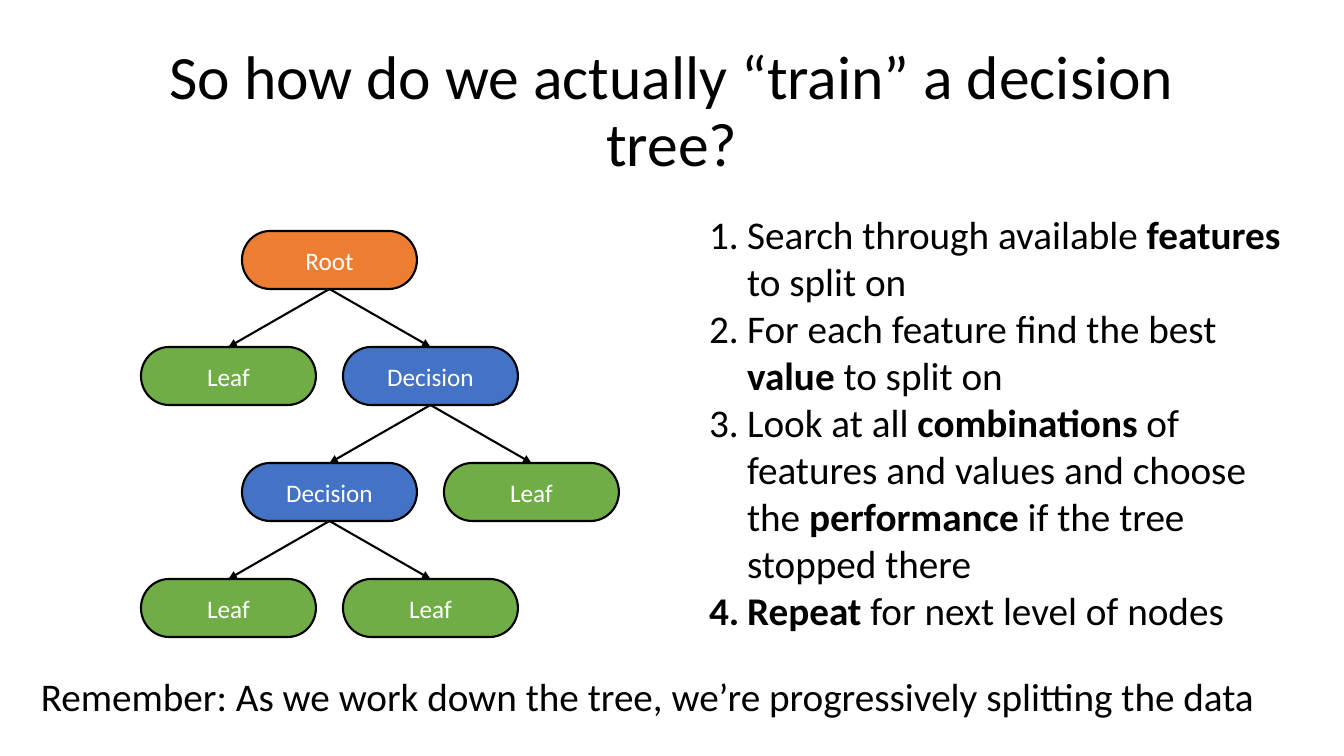
from dataclasses import dataclass

from lxml import etree
from pptx import Presentation
from pptx.dml.color import RGBColor
from pptx.enum.shapes import MSO_CONNECTOR, MSO_SHAPE
from pptx.enum.text import MSO_ANCHOR, MSO_AUTO_SIZE, PP_ALIGN
from pptx.oxml.ns import qn
from pptx.util import Emu, Pt

STRAIGHT = MSO_CONNECTOR.STRAIGHT
TERMINATOR = MSO_SHAPE.FLOWCHART_TERMINATOR
MIDDLE, TOP = MSO_ANCHOR.MIDDLE, MSO_ANCHOR.TOP
NO_FIT = MSO_AUTO_SIZE.NONE
CENTER, LEFT = PP_ALIGN.CENTER, PP_ALIGN.LEFT
TOP_SITE, BOTTOM_SITE = 0, 2
EMU_PER_PX = 914400 / 100.8


@dataclass(frozen=True)
class Theme:
    """Fonts, colours and type sizes of the slide."""
    font: str = "Calibri"
    ink: str = "000000"
    paper: str = "FFFFFF"
    root: str = "ED7D31"
    decision: str = "4472C4"
    leaf: str = "70AD47"
    title_pt: int = 44
    body_pt: int = 28
    node_pt: int = 18
    line_pt: float = 1.5


THEME = Theme()
FILLS = {"Root": THEME.root, "Decision": THEME.decision, "Leaf": THEME.leaf}

NODE_X, NODE_Y, NODE_W, NODE_H = 141, 231, 175, 58
COL_STEP, ROW_STEP = 101, 116
NODES = [("Root", 1, 0), ("Leaf", 0, 1), ("Decision", 2, 1),
         ("Decision", 1, 2), ("Leaf", 3, 2), ("Leaf", 0, 3), ("Leaf", 2, 3)]
EDGES = [(0, 1), (0, 2), (2, 3), (2, 4), (3, 5), (3, 6)]

TITLE = "So how do we actually “train” a decision tree?"
STEPS = [
    "Search through available **features** to split on",
    "For each feature find the best **value** to split on",
    "Look at all **combinations** of features and values and choose the "
    "**performance** if the tree stopped there",
    "**Repeat** for next level of nodes",
]
REMINDER = "Remember: As we work down the tree, we’re progressively splitting the data"


def px(n):
    """Turn pixels into EMU."""
    return Emu(round(n * EMU_PER_PX))


def place(sp, x, y, w, h):
    """Move and size a shape in pixels."""
    sp.left, sp.top, sp.width, sp.height = px(x), px(y), px(w), px(h)


def style_frame(tf, anchor):
    """Wrap the text at a fixed size with the given anchor."""
    tf.word_wrap = True
    tf.auto_size = NO_FIT
    tf.vertical_anchor = anchor


def style_runs(p, size, color, align=LEFT):
    """Format the paragraph and all of its runs."""
    p.alignment = align
    for r in p.runs:
        r.font.name = THEME.font
        r.font.size = Pt(size)
        r.font.color.rgb = RGBColor.from_string(color)


def set_title(sp):
    """Fill the title placeholder."""
    place(sp, 92, 40, 1160, 146)
    tf = sp.text_frame
    tf.text = TITLE
    style_frame(tf, MIDDLE)
    p = tf.paragraphs[0]
    p.line_spacing = 0.9
    style_runs(p, THEME.title_pt, THEME.ink, CENTER)


def number(p):
    """Give a paragraph an automatic number with a hanging indent."""
    pPr = p._p.get_or_add_pPr()
    indent = px(38)
    pPr.set("marL", str(indent))
    pPr.set("indent", str(-indent))
    etree.SubElement(pPr, qn("a:buFont"), typeface=THEME.font)
    etree.SubElement(pPr, qn("a:buAutoNum"), type="arabicPeriod")


def set_steps(sp):
    """Fill the body placeholder with the numbered steps."""
    place(sp, 699, 205, 602, 437)
    tf = sp.text_frame
    style_frame(tf, TOP)
    for i, step in enumerate(STEPS):
        p = tf.add_paragraph() if i else tf.paragraphs[0]
        for j, part in enumerate(step.split("**")):
            if part:
                r = p.add_run()
                r.text = part
                r.font.bold = j % 2 == 1
        p.space_before = Pt(0)
        style_runs(p, THEME.body_pt, THEME.ink)
        number(p)


def add_node(shapes, label, col, row):
    """Add one tree node at its grid position."""
    sp = shapes.add_shape(TERMINATOR, 0, 0, 0, 0)
    place(sp, NODE_X + col * COL_STEP, NODE_Y + row * ROW_STEP, NODE_W, NODE_H)
    sp.shadow.inherit = False
    sp.fill.solid()
    sp.fill.fore_color.rgb = RGBColor.from_string(FILLS[label])
    sp.line.color.rgb = RGBColor.from_string(THEME.ink)
    sp.line.width = Pt(THEME.line_pt)
    tf = sp.text_frame
    tf.text = label
    style_frame(tf, MIDDLE)
    style_runs(tf.paragraphs[0], THEME.node_pt, THEME.paper, CENTER)
    return sp


def add_arrow(shapes, parent, child):
    """Connect a parent node to its child with an arrow."""
    cxn = shapes.add_connector(STRAIGHT, 0, 0, 0, 0)
    cxn.begin_connect(parent, BOTTOM_SITE)
    cxn.end_connect(child, TOP_SITE)
    cxn.line.color.rgb = RGBColor.from_string(THEME.ink)
    cxn.line.width = Pt(THEME.line_pt)
    etree.SubElement(cxn.line._get_or_add_ln(), qn("a:tailEnd"), type="triangle")
    etree.SubElement(cxn._element.spPr, qn("a:effectLst"))


def add_tree(slide):
    """Add the decision tree as one group."""
    shapes = slide.shapes.add_group_shape().shapes
    nodes = [add_node(shapes, *node) for node in NODES]
    for parent, child in EDGES:
        add_arrow(shapes, nodes[parent], nodes[child])


def add_reminder(slide):
    """Add the closing line under the tree and the steps."""
    sp = slide.shapes.add_textbox(px(31), px(667), px(1253), px(58))
    tf = sp.text_frame
    tf.text = REMINDER
    style_frame(tf, TOP)
    style_runs(tf.paragraphs[0], THEME.body_pt, THEME.ink)


def main():
    """Build and save the slide."""
    prs = Presentation()
    prs.slide_width, prs.slide_height = px(1344), px(756)
    slide = prs.slides.add_slide(prs.slide_layouts[1])
    set_title(slide.shapes.title)
    add_tree(slide)
    set_steps(slide.placeholders[1])
    add_reminder(slide)
    prs.save("out.pptx")


main()
